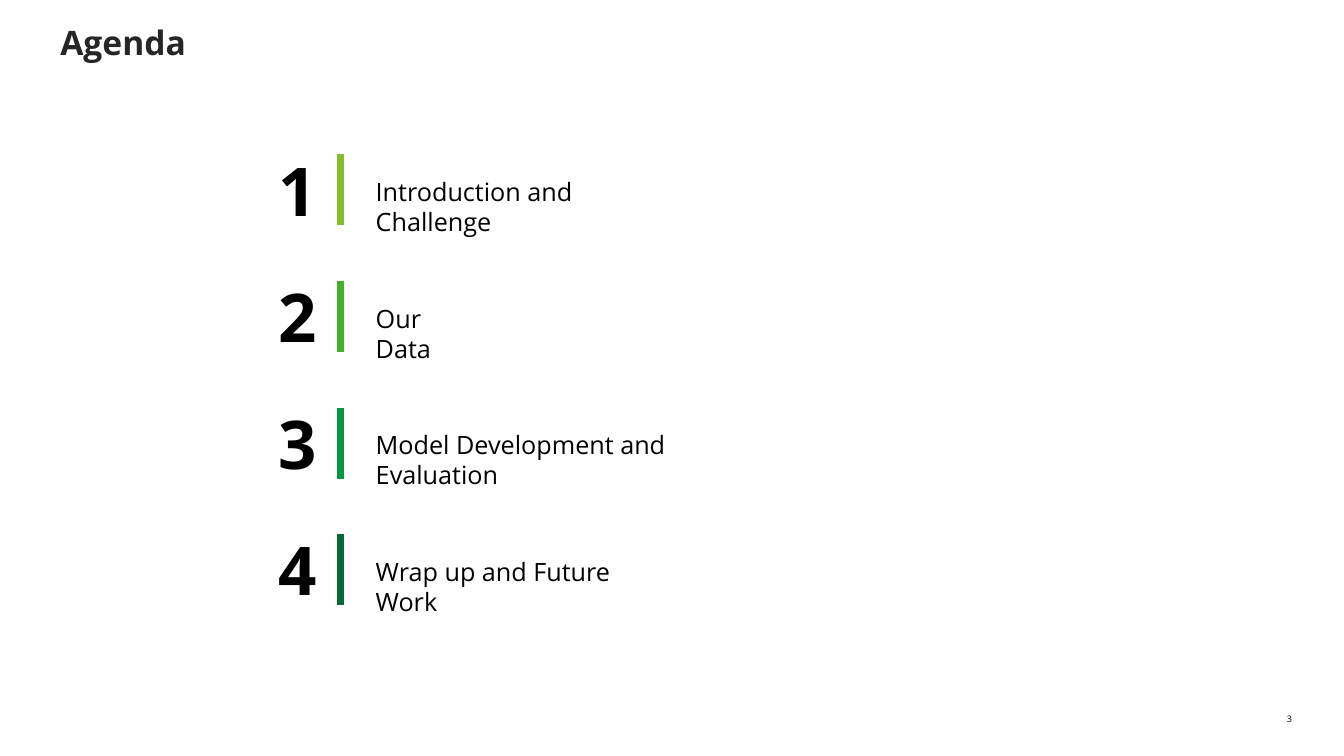
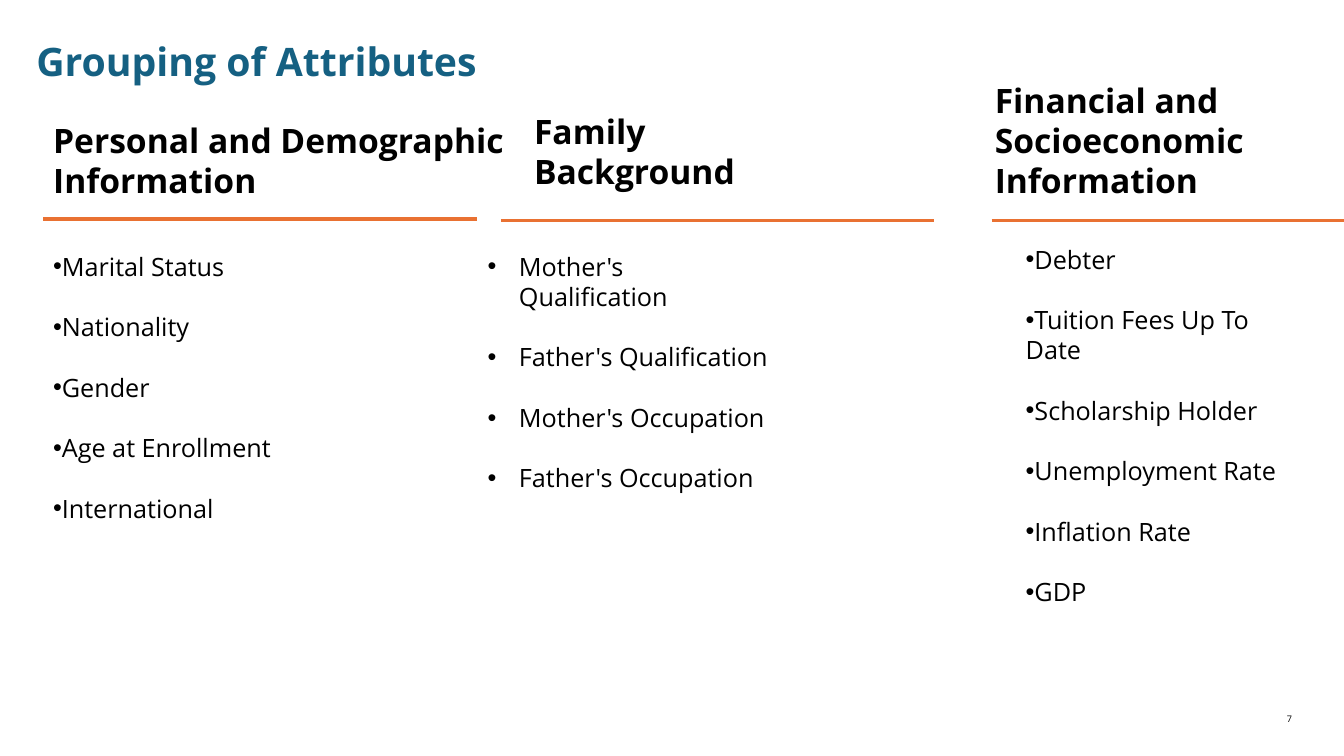
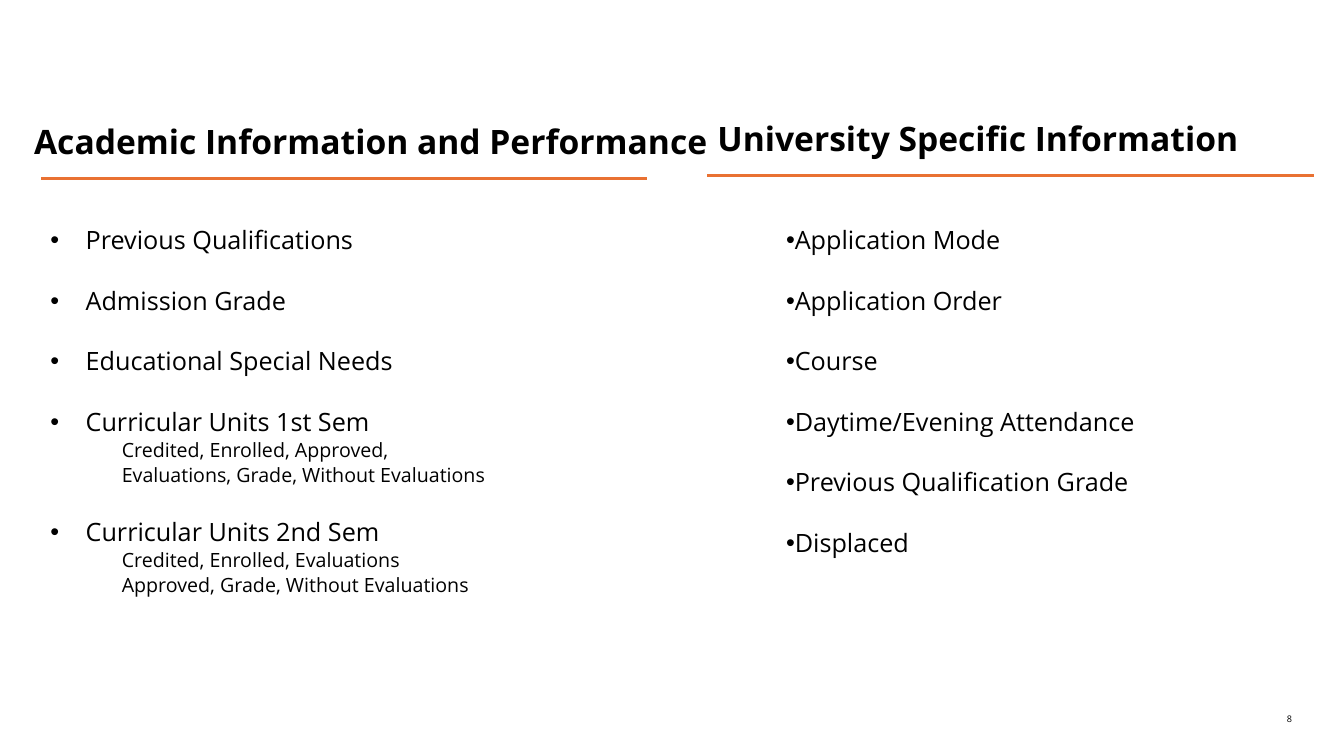
from lxml import etree
from pptx import Presentation
from pptx.dml.color import RGBColor
from pptx.enum.shapes import MSO_CONNECTOR as Connector
from pptx.enum.text import MSO_ANCHOR as Anchor, MSO_AUTO_SIZE as AutoSize, PP_ALIGN as Align
from pptx.oxml.ns import qn
from pptx.util import Cm, Pt

FONT = "Open Sans"
BLACK = RGBColor(0x00, 0x00, 0x00)
CHARCOAL = RGBColor(0x26, 0x26, 0x26)
BLUE = RGBColor(0x15, 0x60, 0x82)
ORANGE = RGBColor(0xE9, 0x71, 0x32)
AGENDA_GREENS = [
    RGBColor(0x86, 0xBC, 0x25),
    RGBColor(0x43, 0xB0, 0x2A),
    RGBColor(0x00, 0x9A, 0x44),
    RGBColor(0x04, 0x6A, 0x38),
]
TITLE_ONLY, BLANK = 5, 6
BODY_SIZE, DETAIL_SIZE, HEADING_SIZE = 18, 14, 24
ITEM_GAP = 21.6
AGENDA_STEP = 3.19


def write(paragraph, text, size, bold=False, color=BLACK):
    """Add text run by run, with a line break at each newline."""
    for index, line in enumerate(text.split("\n")):
        if index:
            paragraph.add_line_break()
        run = paragraph.add_run()
        run.text = line
        run.font.name = FONT
        run.font.size = Pt(size)
        run.font.bold = bold
        run.font.color.rgb = color


def place(shape, left, top, width, height):
    shape.left, shape.top = Cm(left), Cm(top)
    shape.width, shape.height = Cm(width), Cm(height)


def remove_margins(frame):
    frame.margin_left = frame.margin_right = frame.margin_top = frame.margin_bottom = 0


def add_text_box(slide, left, top, width, height):
    box = slide.shapes.add_textbox(Cm(left), Cm(top), Cm(width), Cm(height))
    box.text_frame.word_wrap = True
    return box.text_frame


def add_text(slide, text, left, top, width, height, size, bold=False):
    frame = add_text_box(slide, left, top, width, height)
    write(frame.paragraphs[0], text, size, bold)
    return frame


def add_line(slide, start, end, color, weight):
    line = slide.shapes.add_connector(Connector.STRAIGHT, *map(Cm, start + end))
    line.line.color.rgb = color
    line.line.width = Pt(weight)
    etree.SubElement(line._element.spPr, qn("a:effectLst"))


def add_page_number(slide, number):
    frame = add_text(slide, str(number), 31.7, 17.98, 0.86, 0.28, 6.5)
    remove_margins(frame)
    frame.paragraphs[0].alignment = Align.RIGHT


def add_slide(presentation, number, layout=BLANK):
    slide = presentation.slides.add_slide(presentation.slide_layouts[layout])
    add_page_number(slide, number)
    return slide


def set_title(slide, text, box, size, color):
    title = slide.shapes.title
    place(title, *box)
    frame = title.text_frame
    frame.auto_size = AutoSize.NONE
    frame.vertical_anchor = Anchor.TOP
    frame.paragraphs[0].alignment = Align.LEFT
    write(frame.paragraphs[0], text, size, True, color)
    return frame


def add_heading(slide, text, left, top, width, height):
    add_text(slide, text, left, top, width, height, HEADING_SIZE, True)


def add_rule(slide, left, right, y):
    add_line(slide, (left, y), (right, y), ORANGE, 2.25)


def set_indent(paragraph, left, hanging=0.0, bullet=False):
    properties = paragraph._p.get_or_add_pPr()
    properties.set("marL", str(Cm(left)))
    properties.set("indent", str(-Cm(hanging)))
    if bullet:
        etree.SubElement(properties, qn("a:buFont")).set("typeface", "Arial")
        etree.SubElement(properties, qn("a:buChar")).set("char", "•")


def add_list(slide, items, left, top, width, height, hanging=0.0):
    """Add a bulleted list; an item is a text, or a tuple of a text and its detail lines."""
    frame = add_text_box(slide, left, top, width, height)
    for index, item in enumerate(items):
        text, *details = (item,) if isinstance(item, str) else item
        paragraph = frame.add_paragraph() if index else frame.paragraphs[0]
        set_indent(paragraph, hanging, hanging, bullet=True)
        if index:
            paragraph.space_before = Pt(ITEM_GAP)
        write(paragraph, text, BODY_SIZE)
        for detail in details:
            paragraph = frame.add_paragraph()
            set_indent(paragraph, 1.8)
            paragraph.space_before = Pt(1)
            write(paragraph, detail, DETAIL_SIZE)


def build_agenda(presentation):
    slide = add_slide(presentation, 3, TITLE_ONLY)
    frame = set_title(slide, "Agenda", (1.52, 0.66, 31.65, 1.02), 24, CHARCOAL)
    remove_margins(frame)
    frame.paragraphs[0].line_spacing = 0.9
    topics = [
        ("Introduction and Challenge", 8.2),
        ("Our Data", 3.1),
        ("Model Development and Evaluation", 10.6),
        ("Wrap up and Future Work", 7.8),
    ]
    for index, ((topic, width), green) in enumerate(zip(topics, AGENDA_GREENS)):
        offset = index * AGENDA_STEP
        add_text(slide, str(index + 1), 6.76, 3.63 + offset, 1.5, 2.31, 48, True)
        add_text(slide, topic, 9.22, 4.32 + offset, width, 1.02, BODY_SIZE)
        add_line(slide, (8.58, 3.89 + offset), (8.58, 5.68 + offset), green, 5)


def build_attribute_groups(presentation):
    slide = add_slide(presentation, 7, TITLE_ONLY)
    set_title(slide, "Grouping of Attributes", (0.66, 0.81, 32.56, 1.6), 28, BLUE)

    add_heading(slide, "Personal and Demographic Information", 1.09, 2.9, 12.5, 2.31)
    add_rule(slide, 1.09, 12.01, 5.52)
    personal = ["Marital Status", "Nationality", "Gender", "Age at Enrollment", "International"]
    add_list(slide, personal, 1.09, 6.2, 7.62, 7.19)

    add_heading(slide, "Family\nBackground", 13.21, 2.67, 9.7, 2.31)
    add_rule(slide, 12.62, 23.55, 5.55)
    family = [
        "Mother's Qualification",
        "Father's Qualification",
        "Mother's Occupation",
        "Father's Occupation",
    ]
    add_list(slide, family, 12.04, 6.2, 7.62, 5.64, hanging=0.79)

    add_heading(slide, "Financial and\nSocioeconomic Information", 24.82, 1.88, 9.4, 3.33)
    add_rule(slide, 24.99, 34.04, 5.56)
    financial = [
        "Debter",
        "Tuition Fees Up To Date",
        "Scholarship Holder",
        "Unemployment Rate",
        "Inflation Rate",
        "GDP",
    ]
    add_list(slide, financial, 25.6, 6.02, 7.62, 8.71)


def build_academic_groups(presentation):
    slide = add_slide(presentation, 8)
    add_heading(slide, "Academic Information and Performance", 0.61, 2.92, 17.88, 1.27)
    add_rule(slide, 1.04, 16.31, 4.5)
    academic = [
        "Previous Qualifications",
        "Admission Grade",
        "Educational Special Needs",
        (
            "Curricular Units 1st Sem",
            "Credited, Enrolled, Approved,",
            "Evaluations, Grade, Without Evaluations",
        ),
        (
            "Curricular Units 2nd Sem",
            "Credited, Enrolled, Evaluations",
            "Approved, Grade, Without Evaluations",
        ),
    ]
    add_list(slide, academic, 1.02, 5.54, 12.75, 10.08, hanging=0.89)

    add_heading(slide, "University Specific Information", 17.83, 2.84, 13.72, 1.27)
    add_rule(slide, 17.83, 33.12, 4.42)
    university = [
        "Application Mode",
        "Application Order",
        "Course",
        "Daytime/Evening Attendance",
        "Previous Qualification Grade",
        "Displaced",
    ]
    add_list(slide, university, 19.56, 5.54, 10.24, 8.71)


def main():
    presentation = Presentation()
    presentation.slide_width, presentation.slide_height = Cm(33.87), Cm(19.05)
    build_agenda(presentation)
    build_attribute_groups(presentation)
    build_academic_groups(presentation)
    presentation.save("out.pptx")


if __name__ == "__main__":
    main()
